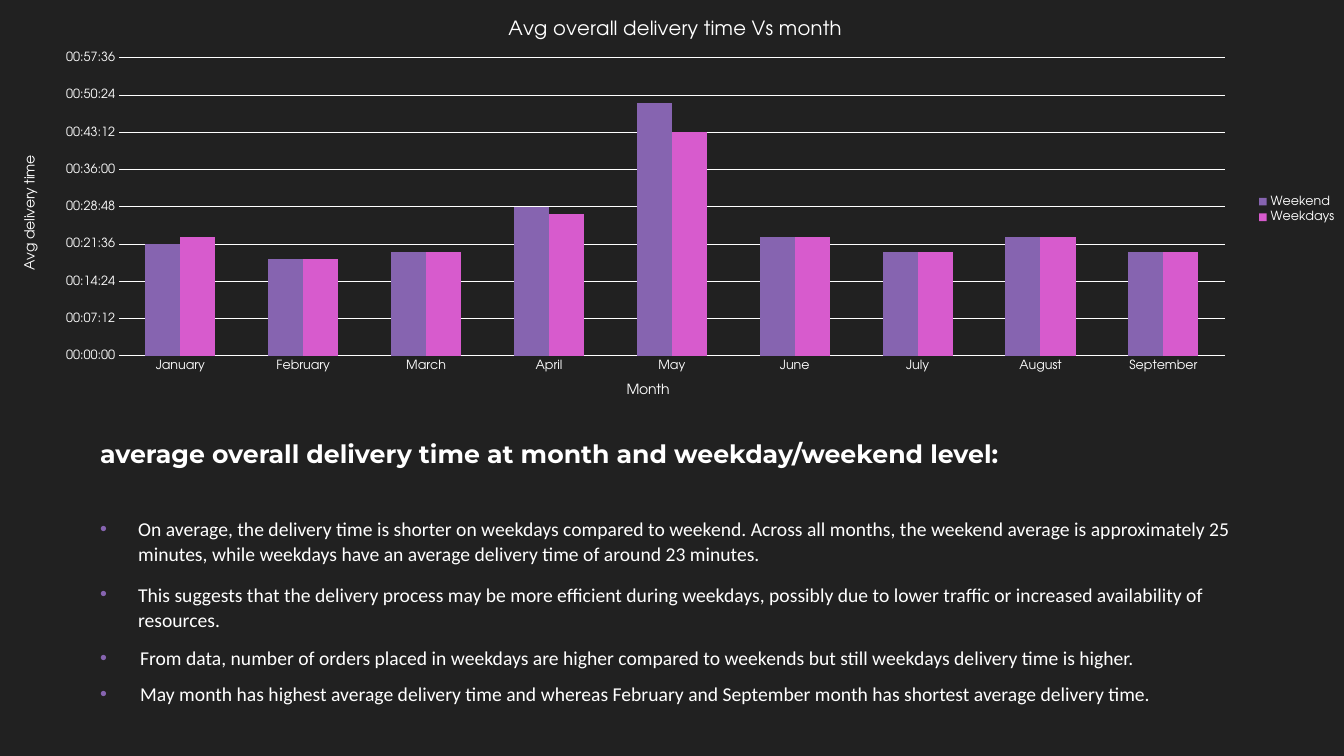
"""Build the slide on average delivery time by month."""
from lxml import etree
from pptx import Presentation, util as u
from pptx.chart.data import CategoryChartData
from pptx.dml.color import RGBColor
from pptx.enum import chart as ch, text
from pptx.oxml import parse_xml
from pptx.oxml.ns import qn

DARK = RGBColor(0x21, 0x21, 0x21)
WHITE = RGBColor(0xFF, 0xFF, 0xFF)
PURPLE = RGBColor(0x86, 0x64, 0xB0)
PINK = RGBColor(0xD7, 0x5B, 0xCD)
FACE = "TeX Gyre Adventor"
SIZE = (1344, 756)
BOXES = {"title": (90, 411, 1164, 63), "body": (90, 485, 1164, 251), "chart": (0, 0, 1344, 417)}

HEAD = "average overall delivery time at month and weekday/weekend level:"
POINTS = [
    ("On average, the delivery time is shorter on weekdays compared to weekend. Across all months, "
     "the weekend average is approximately 25 minutes, while weekdays have an average delivery time "
     "of around 23 minutes.", 38, 1.07, 8),
    ("This suggests that the delivery process may be more efficient during weekdays, possibly due to "
     "lower traffic or increased availability of resources.", 38, 1.07, 8),
    ("From data, number of orders placed in weekdays are higher compared to weekends but still "
     "weekdays delivery time is higher.", 40, 1, 6),
    ("May month has highest average delivery time and whereas February and September month has "
     "shortest average delivery time.", 40, 1, 6),
]
MONTHS = ["January", "February", "March", "April", "May", "June", "July", "August", "September"]
SERIES = [
    ("Weekend", PURPLE, [0.015, 0.013, 0.014, 0.02, 0.034, 0.016, 0.014, 0.016, 0.014]),
    ("Weekdays", PINK, [0.016, 0.013, 0.014, 0.019, 0.03, 0.016, 0.014, 0.016, 0.014]),
]
TITLES = {"chart": ("Avg overall delivery time Vs month", 14, 505, 15),
          "cat": ("Month", 10, 624, 380),
          "val": ("Avg delivery time", 10, 20, 153)}
PLOT = (119, 58, 1106, 298)
LEGEND = (1255, 192)

NS = "http://schemas.openxmlformats.org/drawingml/2006/main"
SHADE = (f'<a:effectLst xmlns:a="{NS}"><a:outerShdw blurRad="38100" dist="38100" dir="2700000" '
         'algn="tl"><a:srgbClr val="000000"><a:alpha val="43000"/></a:srgbClr>'
         '</a:outerShdw></a:effectLst>')


def px(n):
    return u.Inches(n / 100.8)


def style(font, size, face=FACE, bold=False):
    font.size, font.name, font.bold = u.Pt(size), face, bold
    font.color.rgb = WHITE


def write(para, words, size, face=FACE, bold=False, shade=False):
    run = para.add_run()
    run.text = words
    style(run.font, size, face, bold)
    if shade:
        fill = run.font._element.find(qn("a:solidFill"))
        fill.addnext(parse_xml(SHADE))


def place(shape, key, anchor):
    shape.left, shape.top, shape.width, shape.height = map(px, BOXES[key])
    frame = shape.text_frame
    frame.word_wrap, frame.auto_size = True, text.MSO_AUTO_SIZE.NONE
    frame.vertical_anchor = anchor
    return frame


def bullet(para, indent, lead, after):
    para.line_spacing, para.space_before, para.space_after = lead, u.Pt(2.8), u.Pt(after)
    para.alignment = text.PP_ALIGN.LEFT
    props = para._p.get_or_add_pPr()
    props.set("marL", str(px(indent)))
    props.set("indent", str(-px(indent)))
    tint = etree.SubElement(props, qn("a:buClr"))
    etree.SubElement(tint, qn("a:srgbClr"), val=str(PURPLE))
    etree.SubElement(props, qn("a:buFont"), typeface="Arial")
    etree.SubElement(props, qn("a:buChar"), char="•")


def layout(node, spots, inner=False):
    for old in node.findall(qn("c:layout")):
        node.remove(old)
    area = etree.Element(qn("c:layout"))
    form = etree.SubElement(area, qn("c:manualLayout"))
    if inner:
        etree.SubElement(form, qn("c:layoutTarget"), val="inner")
    for mode in ("xMode", "yMode"):
        etree.SubElement(form, qn(f"c:{mode}"), val="edge")
    wide, high = BOXES["chart"][2:]
    for name, spot, full in zip("xywh", spots, (wide, high, wide, high)):
        etree.SubElement(form, qn(f"c:{name}"), val=f"{spot / full:.4f}")
    mark = node.find(qn("c:tx"))
    if mark is None:
        mark = node.find(qn("c:legendPos"))
    if mark is None:
        node.insert(0, area)
    else:
        mark.addnext(area)


def label(owner, key, title):
    words, size, left, top = TITLES[key]
    write(title.text_frame.paragraphs[0], words, size)
    layout(title._element, (left, top))


def draw(slide):
    data = CategoryChartData(number_format="[$-14009]hh:mm:ss;@")
    data.categories = MONTHS
    for name, _, vals in SERIES:
        data.add_series(name, vals)
    kind = ch.XL_CHART_TYPE.COLUMN_CLUSTERED
    chart = slide.shapes.add_chart(kind, *map(px, BOXES["chart"]), data).chart
    style(chart.font, 10)
    cat, val = chart.category_axis, chart.value_axis
    for key, owner in (("chart", chart), ("cat", cat), ("val", val)):
        label(owner, key, owner.chart_title if key == "chart" else owner.axis_title)
    for axis in (cat, val):
        axis.major_tick_mark = axis.minor_tick_mark = ch.XL_TICK_MARK.NONE
        style(axis.tick_labels.font, 9)
    val.minimum_scale, val.maximum_scale, val.major_unit = 0, 0.04, 0.005
    val.tick_labels.number_format = "[$-14009]hh:mm:ss;@"
    val.tick_labels.number_format_is_linked = False
    val.format.line.fill.background()
    for line in (cat.format.line, val.major_gridlines.format.line):
        line.color.rgb, line.width = WHITE, u.Pt(0.75)
    plot = chart.plots[0]
    plot.gap_width, plot.overlap, plot.vary_by_categories = 150, 0, False
    for bars, (_, tint, _) in zip(plot.series, SERIES):
        bars.format.fill.solid()
        bars.format.fill.fore_color.rgb = tint
    chart.has_legend = True
    chart.legend.position = ch.XL_LEGEND_POSITION.RIGHT
    chart.legend.include_in_layout = False
    style(chart.legend.font, 9)
    layout(chart.legend._element, LEGEND)
    layout(chart._chartSpace.chart.plotArea, PLOT, inner=True)


def main():
    deck = Presentation()
    deck.slide_width, deck.slide_height = map(px, SIZE)
    slide = deck.slides.add_slide(deck.slide_layouts[1])
    slide.background.fill.solid()
    slide.background.fill.fore_color.rgb = DARK
    head = place(slide.shapes.title, "title", text.MSO_ANCHOR.BOTTOM).paragraphs[0]
    head.alignment = text.PP_ALIGN.LEFT
    write(head, HEAD, 18, "Montserrat", bold=True, shade=True)
    body = place(slide.placeholders[1], "body", text.MSO_ANCHOR.MIDDLE)
    for i, (words, *gaps) in enumerate(POINTS):
        para = body.add_paragraph() if i else body.paragraphs[0]
        bullet(para, *gaps)
        write(para, words, 14, "Calibri", shade=True)
    draw(slide)
    deck.save("out.pptx")


if __name__ == "__main__":
    main()
